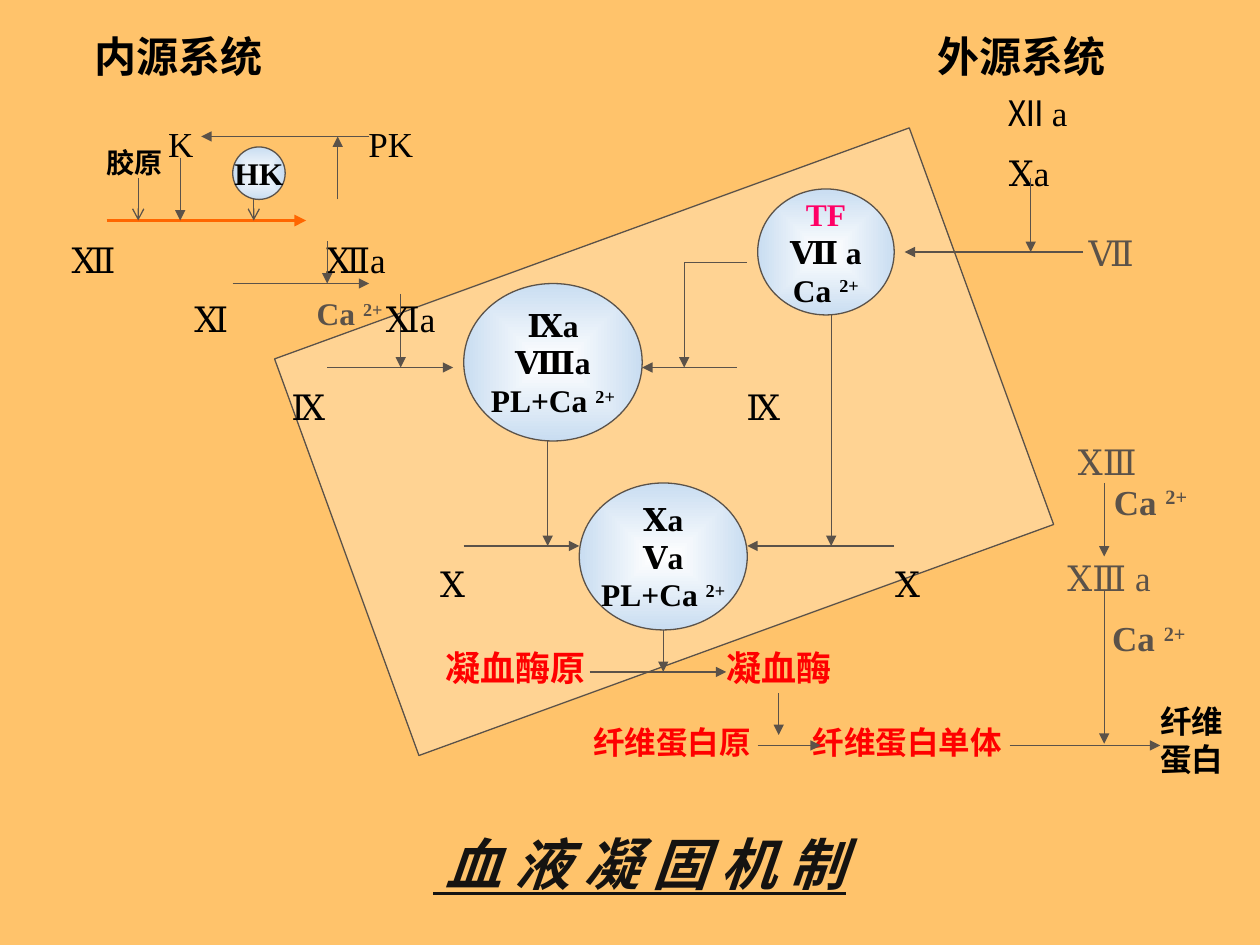
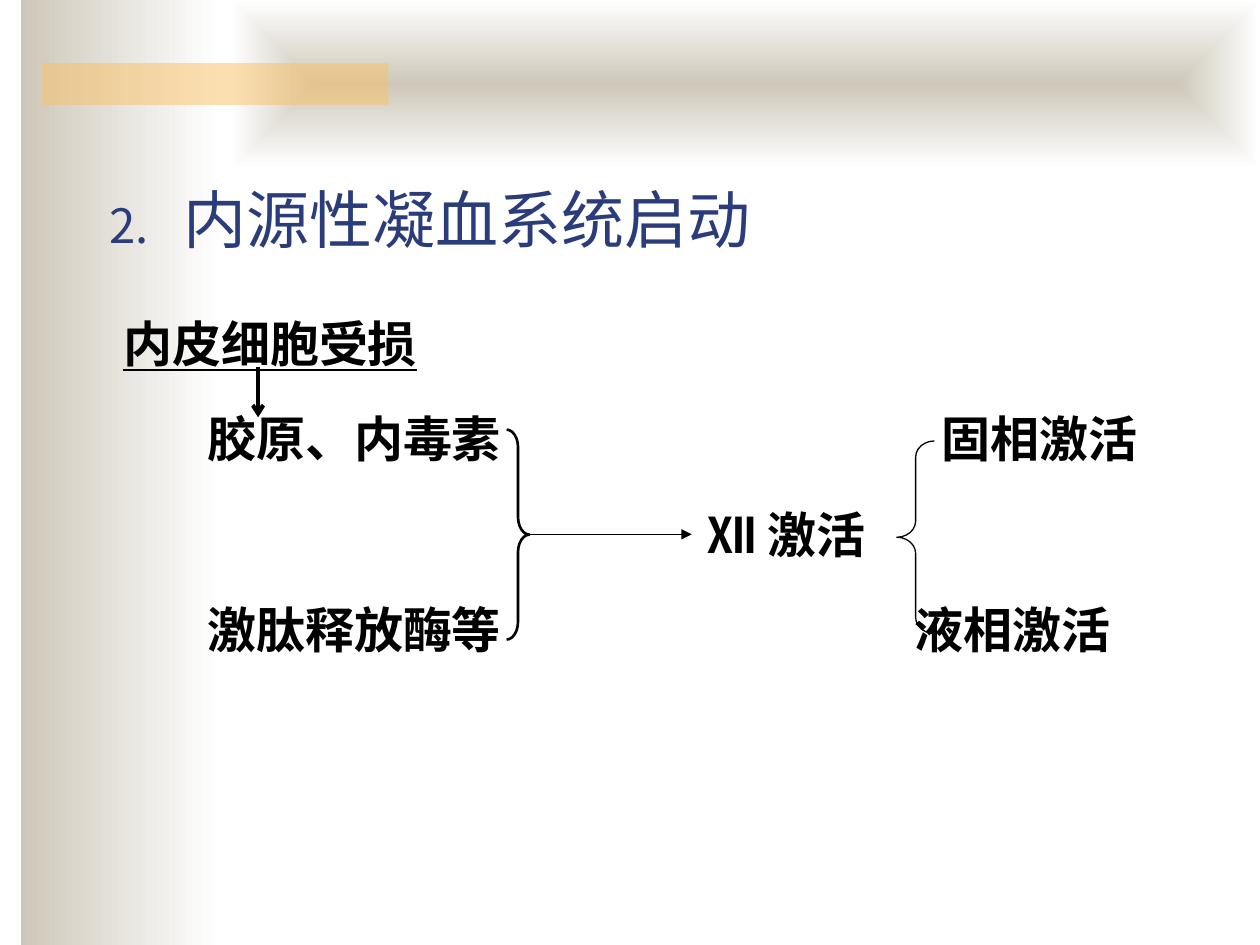
from dataclasses import dataclass
from typing import Any

from lxml.etree import SubElement
from pptx import Presentation
from pptx.dml.color import RGBColor
from pptx.enum.shapes import MSO_CONNECTOR, MSO_SHAPE
from pptx.enum.text import MSO_ANCHOR, PP_ALIGN
from pptx.oxml.ns import qn
from pptx.util import Pt

WIDE, HIGH = 720, 540
SERIF, SANS = "Times New Roman", "Noto Sans CJK SC"
HEX = {
    "amber": "FFC36B", "white": "FFFFFF", "black": "000000", "ink": "151311",
    "gray": "5B5249", "sky": "C9DDF1", "red": "FF0000", "pink": "FF0066",
    "orange": "FF6600", "sand": "CEC8BA", "gold": "FAC164", "navy": "2A3D7A",
}


def rgb(name):
    """Return a palette colour."""
    return RGBColor.from_string(HEX[name])


def add_run(para, text, size, color, face=SERIF, bold=False, line=False, sup=False):
    """Add one formatted run to a paragraph."""
    run = para.add_run()
    run.text = text
    font = run.font
    font.size, font.name, font.bold, font.underline = Pt(size), face, bold, line
    font.color.rgb = rgb(color)
    props = run._r.get_or_add_rPr()
    SubElement(props, qn("a:ea")).set("typeface", SANS)
    if sup:
        props.set("baseline", "30000")
    return font


def add_text(para, text, size, color, **style):
    """Add text to a paragraph, raising whatever follows a caret."""
    base, _, power = text.partition("^")
    add_run(para, base, size, color, **style)
    if power:
        add_run(para, power, size, color, sup=True, **style)


def fade(shape, first, last, path=False):
    """Fill a shape with a two-colour gradient, sideways or from its centre."""
    fill = shape.fill
    fill.gradient()
    fill.gradient_angle = 0
    for stop, name, place in zip(fill.gradient_stops, (first, last), (0, 1)):
        stop.color.rgb = rgb(name)
        stop.position = place
    if path:
        grad = shape._element.spPr.find(qn("a:gradFill"))
        grad.remove(grad.find(qn("a:lin")))
        node = SubElement(grad, qn("a:path"))
        node.set("path", "rect")
        rect = SubElement(node, qn("a:fillToRect"))
        for side in "ltrb":
            rect.set(side, "50000")


def tint(shape, name, alpha):
    """Fill a shape with a see-through colour, alpha in percent."""
    shape.fill.solid()
    shape.fill.fore_color.rgb = rgb(name)
    color = shape._element.spPr.find(qn("a:solidFill"))[0]
    SubElement(color, qn("a:alpha")).set("val", str(alpha * 1000))


@dataclass
class Pane:
    """A region of a slide, with its own origin in points."""
    slide: Any
    x: float
    y: float

    def shape(self, kind, x, y, w, h, line=None, width=0.75):
        """Add a preset shape without shadow."""
        item = self.slide.shapes.add_shape(
            kind, Pt(self.x + x), Pt(self.y + y), Pt(w), Pt(h))
        item.shadow.inherit = False
        if line:
            item.line.color.rgb = rgb(line)
            item.line.width = Pt(width)
        else:
            item.line.fill.background()
        return item

    def label(self, x, mid, *rows, size=20, color="black", **style):
        """Add text rows from a left edge, centred on a height."""
        left = self.x + x
        width = min(size * (max(map(len, rows)) + 2), WIDE - left)
        high = size * 1.2 * len(rows)
        box = self.slide.shapes.add_textbox(
            Pt(left), Pt(self.y + mid - high / 2), Pt(width), Pt(high))
        frame = box.text_frame
        frame.word_wrap = True
        frame.vertical_anchor = MSO_ANCHOR.MIDDLE
        frame.margin_left = frame.margin_right = 0
        frame.margin_top = frame.margin_bottom = 0
        for i, row in enumerate(rows):
            para = frame.add_paragraph() if i else frame.paragraphs[0]
            if len(rows) > 1:
                para.line_spacing = Pt(size * 1.2)
            add_text(para, row, size, color, **style)
        return frame.paragraphs[-1]

    def arrow(self, x1, y1, x2, y2, color="gray", width=0.75, tip="triangle"):
        """Add a straight line with a tip at its end."""
        line = self.slide.shapes.add_connector(
            MSO_CONNECTOR.STRAIGHT, Pt(self.x + x1), Pt(self.y + y1),
            Pt(self.x + x2), Pt(self.y + y2))
        line.line.color.rgb = rgb(color)
        line.line.width = Pt(width)
        if tip:
            SubElement(line.line._get_or_add_ln(), qn("a:tailEnd")).set("type", tip)
        SubElement(line._element.spPr, qn("a:effectLst"))

    def oval(self, x, y, w, h, *rows):
        """Add a shaded oval with centred (text, colour) rows."""
        item = self.shape(MSO_SHAPE.OVAL, x, y, w, h, "gray")
        fade(item, "white", "sky", path=True)
        frame = item.text_frame
        frame.word_wrap = False
        frame.vertical_anchor = MSO_ANCHOR.MIDDLE
        for i, (text, color) in enumerate(rows):
            para = frame.add_paragraph() if i else frame.paragraphs[0]
            para.alignment = PP_ALIGN.CENTER
            add_text(para, text, 18, color, bold=True)


def add_page(deck, back):
    """Add a title-only slide with a plain background."""
    slide = deck.slides.add_slide(deck.slide_layouts[5])
    slide.background.fill.solid()
    slide.background.fill.fore_color.rgb = rgb(back)
    return slide


def set_title(slide, x, y, w, h, anchor, align):
    """Place the title above the other shapes and return its paragraph."""
    title = slide.shapes.title
    title.left, title.top, title.width, title.height = map(Pt, (x, y, w, h))
    slide.shapes._spTree.append(title._element)
    frame = title.text_frame
    frame.word_wrap = True
    frame.vertical_anchor = anchor
    para = frame.paragraphs[0]
    para.alignment = align
    return para


def draw_inner(pane):
    """Draw the contact phase of the intrinsic system."""
    pane.label(18, 14, "内源系统", size=24, bold=True)
    pane.label(25, 74.5, "胶原", size=16, bold=True)
    for x, mid, text in ((60, 64, "K"), (174.5, 64, "PK"), (5, 130.5, "Ⅻ"),
                         (150.5, 130.5, "Ⅻa"), (75, 164, "Ⅺ"), (184.5, 164, "Ⅺa")):
        pane.label(x, mid, text)
    pane.oval(97, 66, 30, 30, ("HK", "black"))
    pane.arrow(25, 108, 139, 108, "orange", 2.25)
    for ends in ((175, 60, 79, 60), (157, 96, 157, 60), (67, 72, 67, 108),
                 (97, 144, 175, 144), (151, 120, 151, 144)):
        pane.arrow(*ends)
    for x, top in ((43, 84), (109, 96)):
        pane.arrow(x, top, x, 108, tip="arrow")


def draw_core(pane):
    """Draw the tilted panel with the three enzyme complexes."""
    panel = pane.shape(MSO_SHAPE.RECTANGLE, 42.5, 41.8, 386, 241.2, "gray")
    panel.rotation = 340
    tint(panel, "white", 27)
    pane.label(37, 89, "Ca ^2+", size=18, color="gray", bold=True)
    for x, mid, text in ((22.5, 142.5, "Ⅸ"), (282.5, 142.5, "Ⅸ"),
                         (107.5, 243.5, "Ⅹ"), (367.5, 243.5, "Ⅹ")):
        pane.label(x, mid, text)
    pane.oval(289, 18, 78, 72, ("TF", "pink"), ("Ⅶ a", "black"), ("Ca ^2+", "black"))
    for box, first, second in (((121, 72, 102, 90), "Ⅸa", "Ⅷa"),
                               ((187, 186, 96, 84), "Ⅹa", "Ⅴa")):
        pane.oval(*box, *((text, "black") for text in (first, second, "PL+Ca ^2+")))
    for ends in ((43, 120, 115, 120), (277, 120, 223, 120), (85, 78, 85, 120),
                 (247, 60, 247, 120), (121, 222, 187, 222), (367, 222, 283, 222),
                 (169, 162, 169, 222), (331, 90, 331, 222)):
        pane.arrow(*ends)
    pane.arrow(247, 60, 283, 60, tip=None)


def draw_outer(pane):
    """Draw the start of the extrinsic system."""
    pane.label(32, 14, "外源系统", size=24, bold=True)
    para = pane.label(72, 46, "Ⅻ", face=SANS)
    add_run(para, " a", 20, "black")
    pane.label(72.5, 80.5, "Ⅹa")
    pane.label(118, 126, "Ⅶ", color="gray")
    pane.arrow(115, 126, 13, 126)
    pane.arrow(85, 84, 85, 126)


def draw_clot(pane):
    """Draw the thrombin and fibrin rows."""
    for x, mid, size, text in ((2.5, 21.5, 20, "凝血酶原"), (163, 21.5, 20, "凝血酶"),
                               (87, 64, 18, "纤维蛋白原"), (212.5, 64, 18, "纤维蛋白单体")):
        pane.label(x, mid, text, size=size, color="red", bold=True)
    pane.label(411, 63, "纤维", "蛋白", size=18, bold=True)
    for ends in ((85, 24, 163, 24), (127, 0, 127, 24), (193, 36, 193, 60),
                 (181, 66, 217, 66), (325, 66, 411, 66)):
        pane.arrow(*ends)


def draw_seal(pane):
    """Draw the factor that stabilises fibrin."""
    pane.label(16, 11.5, "ⅩⅢ", color="gray")
    pane.label(10, 78, "ⅩⅢ a", color="gray")
    for x, mid in ((36.5, 34.5), (35.5, 112.5)):
        pane.label(x, mid, "Ca ^2+", color="gray", bold=True)
    for top, end in ((24, 66), (86, 173)):
        pane.arrow(31, top, 31, end)


def draw_bands(pane):
    """Draw the shaded side, top and accent bands."""
    kind = MSO_SHAPE.RECTANGLE
    fade(pane.shape(kind, 12, 0, 114, HIGH), "sand", "white")
    fade(pane.shape(kind, 132, 0, 588, 96), "sand", "white", path=True)
    tint(pane.shape(kind, 24, 36, 198, 24), "gold", 50)


def draw_start(pane):
    """Draw how factor twelve is activated."""
    step = 54.4
    for x, row, text in ((47.5, 1, "胶原、内毒素"), (467, 1, "固相激活"), (333.5, 2, "Ⅻ 激活"),
                         (47.5, 3, "激肽释放酶等"), (451.5, 3, "液相激活")):
        pane.label(x, row * step, text, size=28, face=SANS, bold=True)
    pane.label(-0.5, 0, "内皮细胞受损", size=28, face=SANS, bold=True, line=True)
    pane.arrow(76.5, 13.5, 76.5, 42.5, "black", 2.25, "arrow")
    pane.arrow(231.5, 109.3, 324.3, 109.3, "black")
    for kind, box, width, bend in (
            (MSO_SHAPE.RIGHT_BRACE, (218.5, 49.5, 13, 120), 1.5, 0.78),
            (MSO_SHAPE.LEFT_BRACE, (441.5, 56, 21.5, 110), 0.75, 0.43)):
        brace = pane.shape(kind, *box, "black", width)
        brace.fill.background()
        brace.adjustments[0] = bend


def add_path(deck):
    """Build the slide of the clotting pathway."""
    slide = add_page(deck, "amber")
    for draw, x, y in ((draw_core, 144, 90), (draw_inner, 36, 18), (draw_outer, 504, 18),
                       (draw_clot, 252, 360), (draw_seal, 600, 252)):
        draw(Pane(slide, x, y))
    para = set_title(slide, 140.5, 468, 450, 48, MSO_ANCHOR.BOTTOM, PP_ALIGN.CENTER)
    font = add_run(para, " 血 液 凝 固 机 制", 32, "ink", SANS, True, True)
    font.italic = True


def add_start(deck):
    """Build the slide on how the intrinsic system starts."""
    slide = add_page(deck, "white")
    draw_bands(Pane(slide, 0, 0))
    draw_start(Pane(slide, 71, 196))
    para = set_title(slide, 55.4, 96, 642, 57, MSO_ANCHOR.MIDDLE, PP_ALIGN.LEFT)
    props = para._p.get_or_add_pPr()
    props.set("marL", str(Pt(42)))
    props.set("indent", str(Pt(-42)))
    SubElement(SubElement(props, qn("a:buClr")), qn("a:srgbClr")).set("val", HEX["navy"])
    SubElement(props, qn("a:buSzPct")).set("val", "75000")
    mark = SubElement(props, qn("a:buAutoNum"))
    mark.set("type", "arabicPeriod")
    mark.set("startAt", "2")
    add_run(para, "内源性凝血系统启动", 36, "navy", SANS)


def main():
    """Build and save the deck."""
    deck = Presentation()
    deck.slide_width, deck.slide_height = Pt(WIDE), Pt(HIGH)
    add_path(deck)
    add_start(deck)
    deck.save("out.pptx")


if __name__ == "__main__":
    main()
